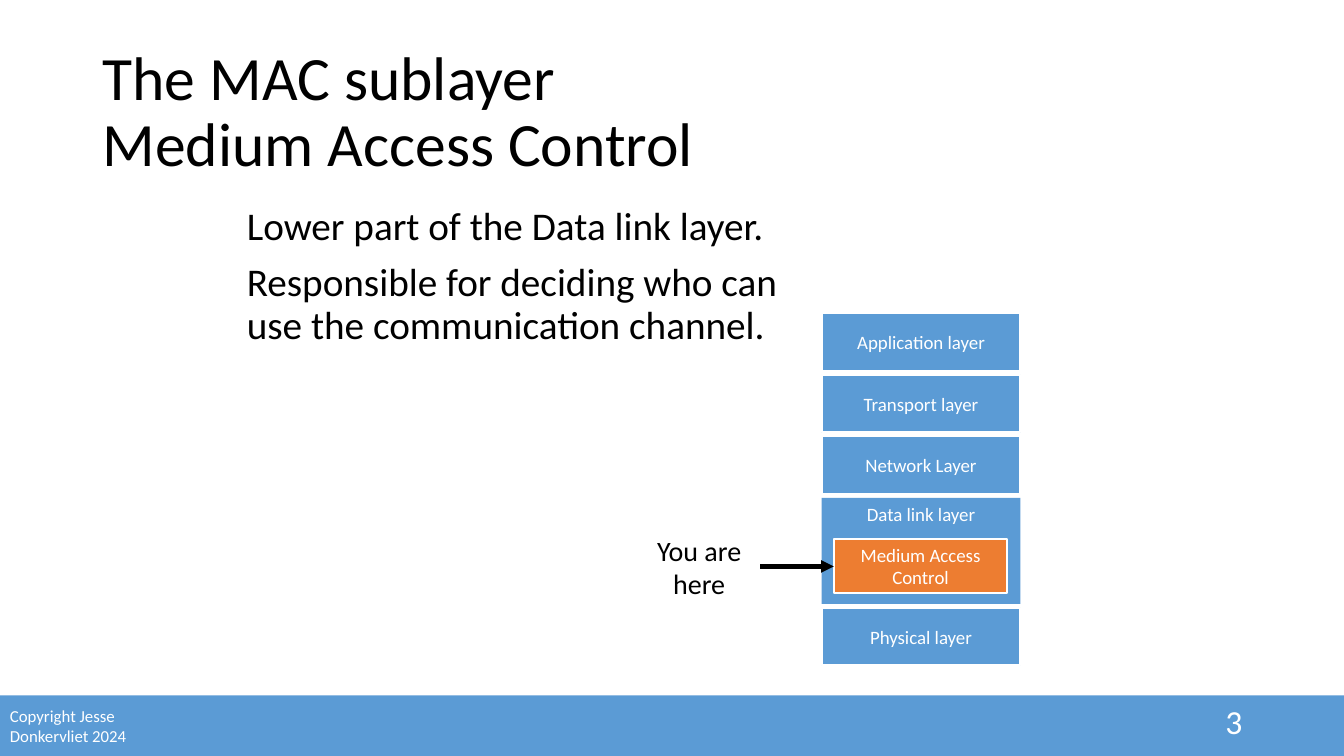
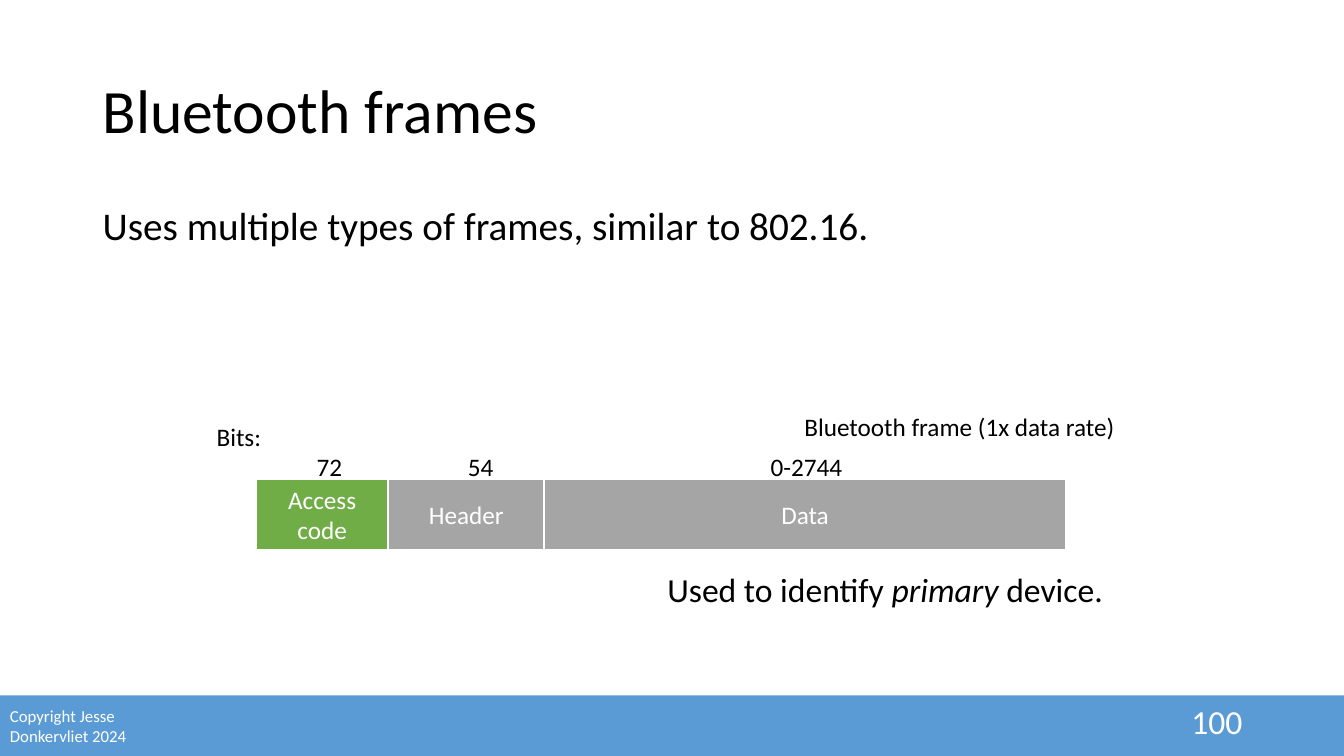
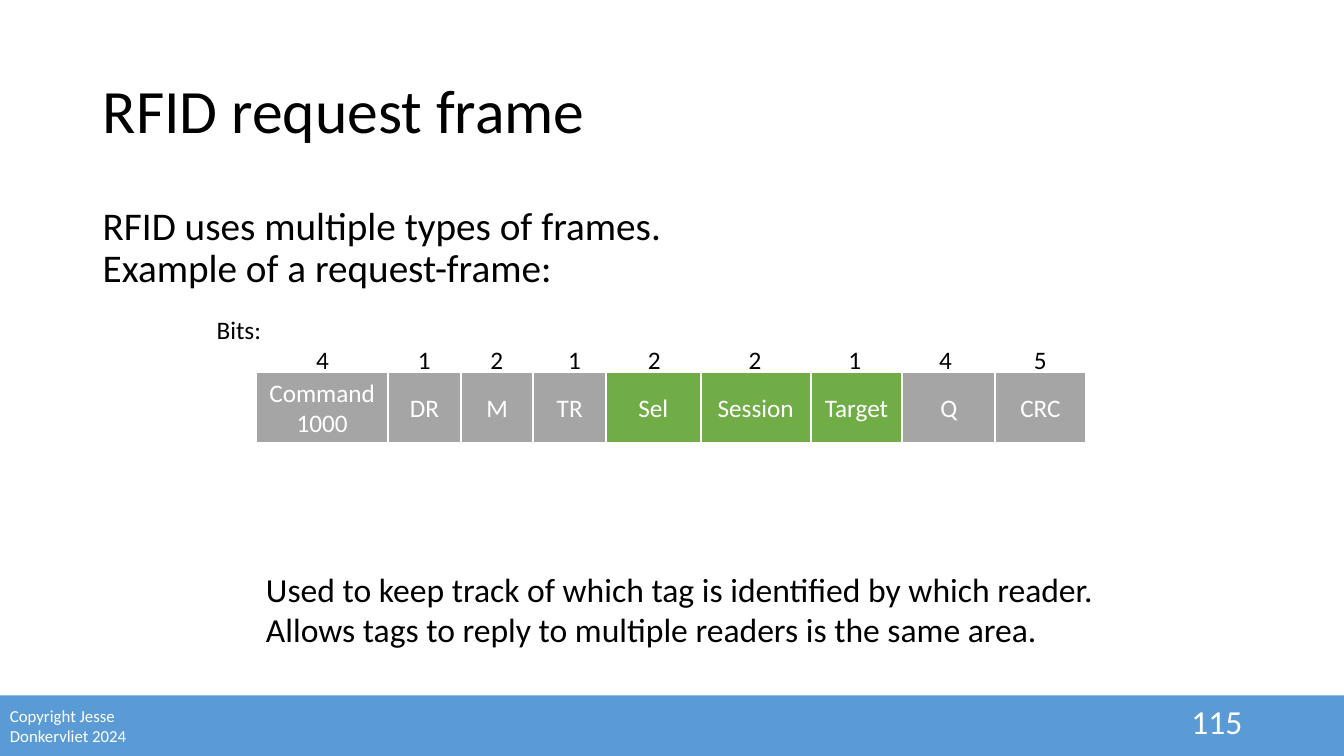
from lxml import etree
from pptx import Presentation
from pptx.dml.color import RGBColor
from pptx.enum.shapes import MSO_CONNECTOR, MSO_SHAPE
from pptx.enum.text import MSO_ANCHOR, PP_ALIGN
from pptx.oxml.ns import qn
from pptx.util import Pt

PX = 9144  # EMU; 100 px to the inch
WIDTH, HEIGHT = 1333, 750
FONT = "Calibri"
BLUE = RGBColor(0x5B, 0x9B, 0xD5)
ORANGE = RGBColor(0xED, 0x7D, 0x31)
GREEN = RGBColor(0x70, 0xAD, 0x47)
GREY = RGBColor(0xA5, 0xA5, 0xA5)
WHITE = RGBColor(0xFF, 0xFF, 0xFF)
BLACK = RGBColor(0, 0, 0)
RECT, STRAIGHT = MSO_SHAPE.RECTANGLE, MSO_CONNECTOR.STRAIGHT
TOP, MIDDLE = MSO_ANCHOR.TOP, MSO_ANCHOR.MIDDLE
LEFT, CENTER, RIGHT = PP_ALIGN.LEFT, PP_ALIGN.CENTER, PP_ALIGN.RIGHT

FRAME_X, FRAME_H = 254, 71
BITS_X, INSET = 205, 10


class Deck:
    def __init__(self):
        self.prs = Presentation()
        self.prs.slide_width, self.prs.slide_height = WIDTH * PX, HEIGHT * PX
        self.s = None

    def slide(self, title, number):
        self.s = self.prs.slides.add_slide(self.prs.slide_layouts[6])
        self.rect(0, 690, WIDTH, 60, BLUE, line=None)
        self.text(0, 695, 147, 50, ["Copyright Jesse Donkervliet 2024"], 12, WHITE, anchor=MIDDLE)
        self.text(92, 40, 1150, 145, [title], 44, anchor=MIDDLE, spacing=0.9)
        self.text(942, 695, 300, 40, [str(number)], 24, WHITE, RIGHT, MIDDLE)

    def fill_text(self, sp, lines, size, color, align, anchor, spacing=None, before=0):
        """Write one paragraph per line; in a tuple, every second piece is italic."""
        tf = sp.text_frame
        tf.word_wrap = True
        tf.vertical_anchor = anchor
        for i, line in enumerate(lines):
            p = tf.add_paragraph() if i else tf.paragraphs[0]
            p.alignment = align
            if spacing:
                p.line_spacing = spacing
            if i and before:
                p.space_before = Pt(before)
            if isinstance(line, tuple):
                for j, piece in enumerate(line):
                    r = p.add_run()
                    r.text = piece
                    r.font.italic = j % 2 == 1
            else:
                p.text = line
            for r in p.runs:
                r.font.name, r.font.size = FONT, Pt(size)
                r.font.color.rgb = color
        return tf

    def text(self, x, y, w, h, lines, size, color=BLACK, align=LEFT, anchor=TOP, **spacing):
        sp = self.s.shapes.add_textbox(x * PX, y * PX, w * PX, h * PX)
        return self.fill_text(sp, lines, size, color, align, anchor, **spacing)

    def body(self, x, w, lines):
        self.text(x, 200, w, 476, lines, 28, spacing=0.9, before=10)

    def rect(self, x, y, w, h, fill, lines=(), size=18, color=WHITE, anchor=MIDDLE, line=WHITE):
        sp = self.s.shapes.add_shape(RECT, x * PX, y * PX, w * PX, h * PX)
        sp.shadow.inherit = False
        sp.fill.solid()
        sp.fill.fore_color.rgb = fill
        if line is None:
            sp.line.fill.background()
        else:
            sp.line.color.rgb, sp.line.width = line, Pt(1.5)
        self.fill_text(sp, lines, size, color, CENTER, anchor)

    def arrow(self, x1, y1, x2, y2):
        c = self.s.shapes.add_connector(STRAIGHT, x1 * PX, y1 * PX, x2 * PX, y2 * PX)
        c.line.color.rgb, c.line.width = BLACK, Pt(3)
        etree.SubElement(c.line._get_or_add_ln(), qn("a:tailEnd"), type="triangle")
        etree.SubElement(c._element.spPr, qn("a:effectLst"))

    def frame(self, y, fields):
        """Draw fields of (lines, width, fill) side by side."""
        x = FRAME_X
        for lines, w, fill in fields:
            self.rect(x, y, w, FRAME_H, fill, lines)
            x += w

    def bits(self, y, counts):
        """Write bit counts, given as (text, centre x), on centred tab stops."""
        row = "".join("\t" + count for count, _ in counts)
        tf = self.text(BITS_X, y, 976, 49, ["Bits:", row], 18, anchor=MIDDLE)
        tabs = etree.SubElement(tf.paragraphs[1]._p.get_or_add_pPr(), qn("a:tabLst"))
        for _, center in counts:
            pos = (center - BITS_X - INSET) * PX
            etree.SubElement(tabs, qn("a:tab"), pos=str(pos), algn="ctr")


def mac_sublayer(d):
    d.slide("The MAC sublayer\nMedium Access Control", 3)
    d.body(235, 579, ["Lower part of the Data link layer.",
                      "Responsible for deciding who can use the communication channel."])
    y, gap = 311, 4
    for name, h, anchor, line in [
        ("Application layer", 57, MIDDLE, WHITE),
        ("Transport layer", 57, MIDDLE, WHITE),
        ("Network Layer", 57, MIDDLE, WHITE),
        ("Data link layer", 105, TOP, None),
        ("Physical layer", 57, MIDDLE, WHITE),
    ]:
        d.rect(815, y, 197, h, BLUE, [name], 13.5, anchor=anchor, line=line)
        y += h + gap
    d.rect(827, 535, 172, 53, ORANGE, ["Medium Access Control"], 13.5)
    d.rect(632, 534, 123, 57, WHITE, ["You are here"], 20, BLACK)
    d.arrow(754, 562, 827, 562)


def bluetooth_frames(d):
    d.slide("Bluetooth frames", 100)
    d.body(92, 1150, ["Uses multiple types of frames, similar to 802.16."])
    d.bits(423, [("72", 327), ("54", 477), ("0-2744", 800)])
    d.text(788, 403, 404, 40, ["Bluetooth frame (1x data rate)"], 18)
    d.frame(475, [(["Access code"], 131, GREEN), (["Header"], 155, GREY), (["Data"], 517, GREY)])
    d.text(652, 559, 498, 50, [("Used to identify ", "primary", " device.")], 24)


def rfid_request(d):
    d.slide("RFID request frame", 115)
    d.body(92, 1150, ["RFID uses multiple types of frames.\nExample of a request-frame:"])
    d.bits(317, [("4", 320), ("1", 421), ("2", 493), ("1", 570), ("2", 649),
                 ("2", 749), ("1", 848), ("4", 938), ("5", 1032)])
    d.text(254, 559, 896, 91,
           ["Used to keep track of which tag is identified by which reader.",
            "Allows tags to reply to multiple readers is the same area."], 24)
    d.frame(369, [
        (["Command", "1000"], 131, GREY), (["DR"], 72, GREY), (["M"], 72, GREY),
        (["TR"], 72, GREY), (["Sel"], 94, GREEN), (["Session"], 109, GREEN),
        (["Target"], 91, GREEN), (["Q"], 92, GREY), (["CRC"], 90, GREY),
    ])


def main():
    d = Deck()
    mac_sublayer(d)
    bluetooth_frames(d)
    rfid_request(d)
    d.prs.save("out.pptx")


if __name__ == "__main__":
    main()
